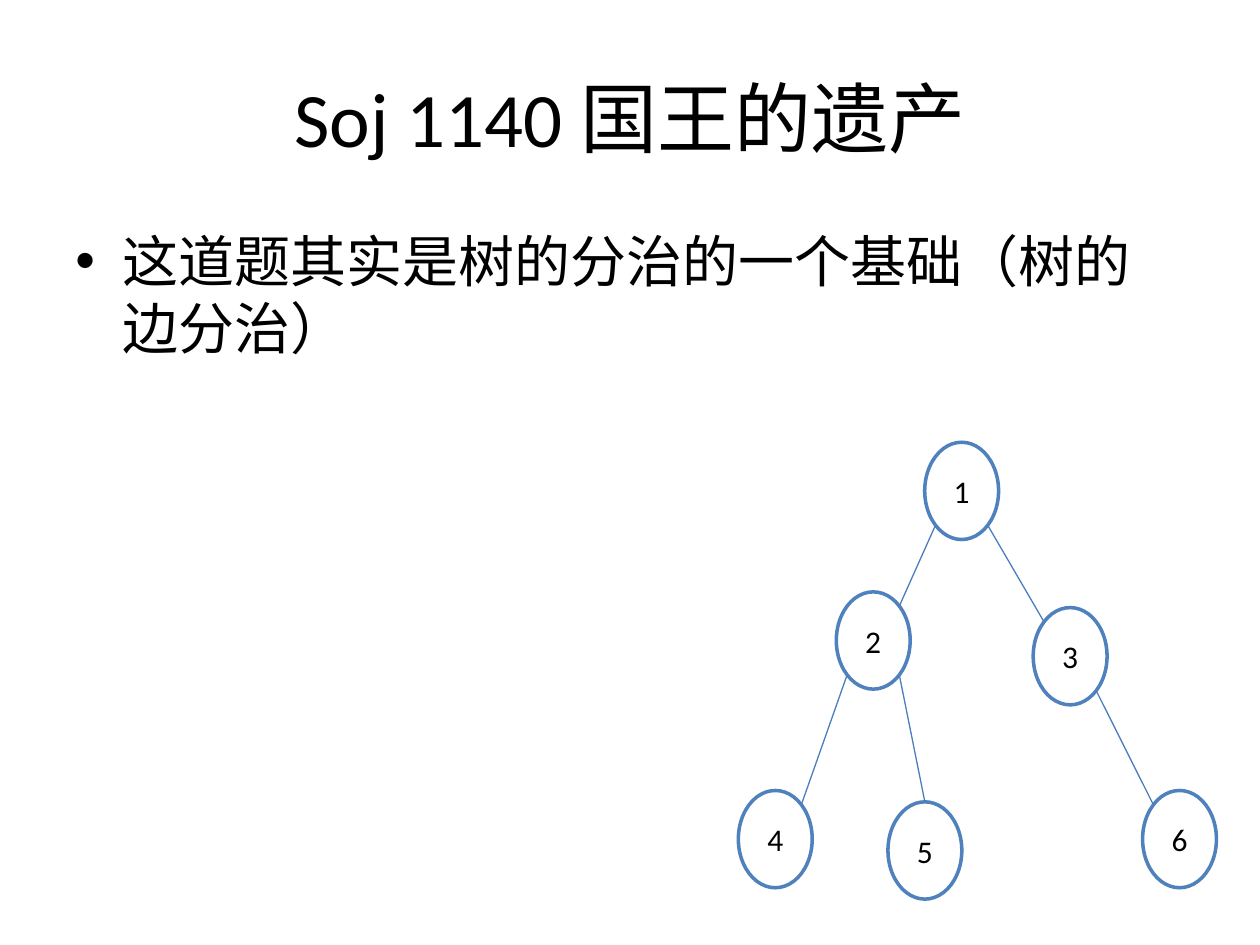
from math import sqrt

from lxml import etree
from pptx import Presentation
from pptx.dml.color import RGBColor
from pptx.enum.shapes import MSO_CONNECTOR, MSO_SHAPE
from pptx.enum.text import MSO_ANCHOR, PP_ALIGN
from pptx.oxml.ns import qn
from pptx.util import Pt

OVAL = MSO_SHAPE.OVAL
STRAIGHT = MSO_CONNECTOR.STRAIGHT
CENTER, LEFT = PP_ALIGN.CENTER, PP_ALIGN.LEFT
MIDDLE, TOP = MSO_ANCHOR.MIDDLE, MSO_ANCHOR.TOP

FONT = "Calibri"
BLACK, WHITE, BLUE, EDGE_BLUE = "000000", "FFFFFF", "4F81BD", "4B7EBC"
NODE_WIDTH, NODE_HEIGHT = 42.2, 55.6
# Offsets from a node's centre to its diagonal points
DIAGONAL_X = NODE_WIDTH / 2 / sqrt(2)
DIAGONAL_Y = NODE_HEIGHT / 2 / sqrt(2)

# Label: centre of the node
NODES = {
    "1": (549.5, 280.5),
    "2": (499, 366),
    "3": (611.5, 375),
    "4": (443, 479.5),
    "5": (528.5, 486),
    "6": (674, 479.5),
}
# Parent, child, side of the parent, side of the child (0 is the top)
EDGES = [
    ("1", "2", -1, 1),
    ("1", "3", 1, -1),
    ("2", "4", -1, 1),
    ("2", "5", 1, 0),
    ("3", "6", 1, -1),
]


def color(value):
    return RGBColor.from_string(value)


def write_text(box, text, size, align=LEFT, anchor=TOP):
    frame = box.text_frame
    frame.word_wrap = True
    frame.vertical_anchor = anchor
    para = frame.paragraphs[0]
    para.alignment = align
    span = para.add_run()
    span.text = text
    span.font.name = FONT
    span.font.size = Pt(size)
    span.font.color.rgb = color(BLACK)
    return para


def add_bullet(para, indent):
    properties = para._p.get_or_add_pPr()
    properties.set("marL", str(Pt(indent)))
    properties.set("indent", str(-Pt(indent)))
    etree.SubElement(properties, qn("a:buFont"), typeface="Arial")
    etree.SubElement(properties, qn("a:buChar"), char="•")


def place_title(page, text):
    title = page.shapes.title
    title.left, title.top, title.width, title.height = Pt(36), Pt(21.6), Pt(648), Pt(90)
    write_text(title, text, 44, align=CENTER, anchor=MIDDLE)


def add_body(page, text):
    box = page.shapes.add_textbox(Pt(36), Pt(126), Pt(648), Pt(356.4))
    add_bullet(write_text(box, text, 32), 27)


def add_node(page, label, center):
    x, y = center
    node = page.shapes.add_shape(
        OVAL, Pt(x - NODE_WIDTH / 2), Pt(y - NODE_HEIGHT / 2), Pt(NODE_WIDTH), Pt(NODE_HEIGHT)
    )
    node.shadow.inherit = False
    node.fill.solid()
    node.fill.fore_color.rgb = color(WHITE)
    node.line.color.rgb = color(BLUE)
    node.line.width = Pt(2)
    write_text(node, label, 18, align=CENTER, anchor=MIDDLE)


def add_edge(page, parent, child, parent_side, child_side):
    parent_x, parent_y = NODES[parent]
    child_x, child_y = NODES[child]
    rise = DIAGONAL_Y if child_side else NODE_HEIGHT / 2
    edge = page.shapes.add_connector(
        STRAIGHT,
        Pt(parent_x + parent_side * DIAGONAL_X), Pt(parent_y + DIAGONAL_Y),
        Pt(child_x + child_side * DIAGONAL_X), Pt(child_y - rise),
    )
    edge.line.color.rgb = color(EDGE_BLUE)
    edge.line.width = Pt(0.75)
    etree.SubElement(edge._element.spPr, qn("a:effectLst"))


def main():
    deck = Presentation()
    deck.slide_width, deck.slide_height = Pt(720), Pt(540)
    page = deck.slides.add_slide(deck.slide_layouts[5])

    # Title and statement
    place_title(page, "Soj 1140 国王的遗产")
    add_body(page, "这道题其实是树的分治的一个基础（树的边分治）")

    # Tree
    for label, center in NODES.items():
        add_node(page, label, center)
    for edge in EDGES:
        add_edge(page, *edge)

    deck.save("out.pptx")


main()
